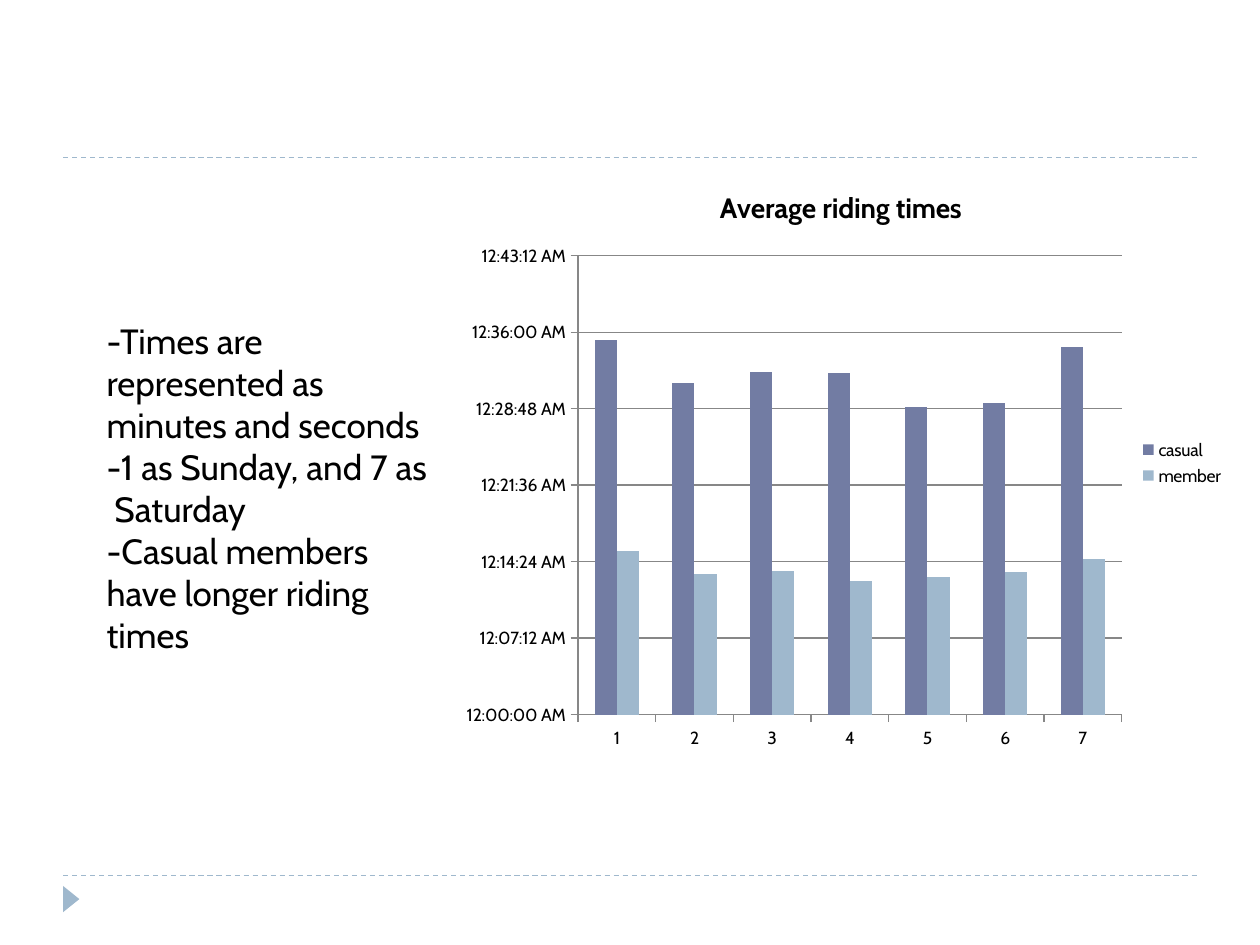
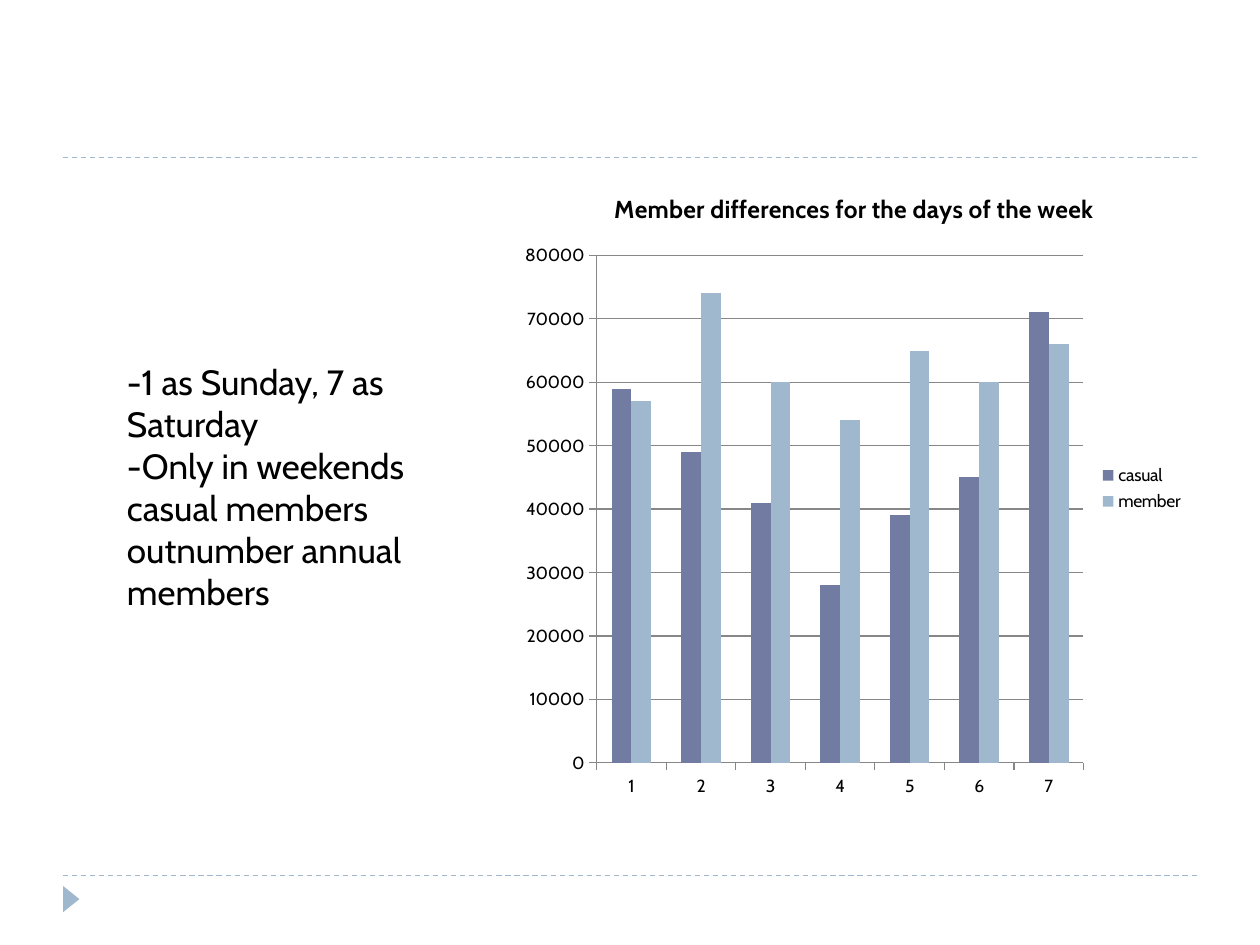
from lxml import etree
from pptx import Presentation
from pptx.chart.data import CategoryChartData
from pptx.dml.color import RGBColor
from pptx.enum.chart import XL_CHART_TYPE, XL_LEGEND_POSITION, XL_TICK_MARK
from pptx.enum.dml import MSO_LINE
from pptx.enum.shapes import MSO_CONNECTOR, MSO_SHAPE
from pptx.oxml.ns import qn
from pptx.util import Cm, Pt

COLUMNS = XL_CHART_TYPE.COLUMN_CLUSTERED
LEGEND_RIGHT = XL_LEGEND_POSITION.RIGHT
TICK_OUT = XL_TICK_MARK.OUTSIDE
DASH = MSO_LINE.DASH
STRAIGHT = MSO_CONNECTOR.STRAIGHT
TRIANGLE = MSO_SHAPE.ISOSCELES_TRIANGLE

FONT = "Cabin"
BLACK, WHITE, GREY = "000000", "FFFFFF", "878787"
INDIGO, SKY = "727CA3", "9FB8CD"
SERIES_COLORS = {"casual": INDIGO, "member": SKY}
DAYS = [str(day) for day in range(1, 8)]
SLIDE_W, SLIDE_H = 25.4, 19.05
MARGIN = 1.27
RULE_TOPS = (3.18, 17.65)


def rgb(value):
    return RGBColor.from_string(value)


def style_font(font, size=10, color=BLACK, bold=False):
    font.name = FONT
    font.size = Pt(size)
    font.bold = bold
    font.color.rgb = rgb(color)


def add_text(p, text, **fmt):
    r = p.add_run()
    r.text = text
    style_font(r.font, **fmt)


def add_frame(s):
    """Draw the background, dashed rules and corner marker of every slide."""
    s.background.fill.solid()
    s.background.fill.fore_color.rgb = rgb(WHITE)
    for top in RULE_TOPS:
        rule = s.shapes.add_connector(
            STRAIGHT, Cm(MARGIN), Cm(top), Cm(SLIDE_W - MARGIN), Cm(top))
        rule.line.color.rgb = rgb(SKY)
        rule.line.width = Pt(0.75)
        rule.line.dash_style = DASH
        etree.SubElement(rule._element.spPr, qn("a:effectLst"))
    marker = s.shapes.add_shape(TRIANGLE, Cm(1.17), Cm(17.96), Cm(0.53), Cm(0.33))
    marker.rotation = 90
    marker.shadow.inherit = False
    marker.fill.solid()
    marker.fill.fore_color.rgb = rgb(SKY)
    marker.line.fill.background()


def add_remarks(s, box, remarks):
    tf = s.shapes.add_textbox(*map(Cm, box)).text_frame
    tf.word_wrap = True
    for i, remark in enumerate(remarks):
        p = tf.add_paragraph() if i else tf.paragraphs[0]
        add_text(p, remark, size=20)


def style_axis(axis):
    axis.major_tick_mark = TICK_OUT
    axis.format.line.color.rgb = rgb(GREY)
    axis.format.line.width = Pt(0.75)
    style_font(axis.tick_labels.font)


def add_day_chart(s, box, title, title_size, values, top, step, number_format):
    data = CategoryChartData(number_format=number_format)
    data.categories = DAYS
    for name, vals in values.items():
        data.add_series(name, vals)
    chart = s.shapes.add_chart(COLUMNS, *map(Cm, box), data).chart
    style_font(chart.font)

    chart.has_title = True
    add_text(chart.chart_title.text_frame.paragraphs[0], title,
             size=title_size, bold=True)
    chart.chart_title.include_in_layout = False
    chart.has_legend = True
    chart.legend.position = LEGEND_RIGHT
    chart.legend.include_in_layout = False
    style_font(chart.legend.font)

    plot = chart.plots[0]
    plot.gap_width = 150
    plot.overlap = 0
    plot.vary_by_categories = False
    for series in plot.series:
        series.invert_if_negative = False
        series.format.fill.solid()
        series.format.fill.fore_color.rgb = rgb(SERIES_COLORS[series.name])

    style_axis(chart.category_axis)
    axis = chart.value_axis
    style_axis(axis)
    axis.minimum_scale, axis.maximum_scale, axis.major_unit = 0, top, step
    axis.has_major_gridlines = True
    axis.major_gridlines.format.line.color.rgb = rgb(GREY)
    axis.major_gridlines.format.line.width = Pt(0.75)
    axis.tick_labels.number_format = number_format
    axis.tick_labels.number_format_is_linked = False


def add_chart_slide(prs, remarks_box, remarks, chart_box, **chart):
    s = prs.slides.add_slide(prs.slide_layouts[6])
    add_frame(s)
    add_day_chart(s, chart_box, **chart)
    add_remarks(s, remarks_box, remarks)


def main():
    prs = Presentation()
    prs.slide_width, prs.slide_height = Cm(SLIDE_W), Cm(SLIDE_H)
    add_chart_slide(
        prs,
        remarks_box=(1.9, 6.32, 7.01, 7.01),
        remarks=["-Times are represented as minutes and seconds",
                 "-1 as Sunday, and 7 as  Saturday",
                 "-Casual members have longer riding times"],
        chart_box=(9.09, 3.33, 15.85, 11.99),
        title="Average riding times ", title_size=16,
        values={
            "casual": [0.0245, 0.0217, 0.0224, 0.0223, 0.0201, 0.0204, 0.024],
            "member": [0.0107, 0.0092, 0.0094, 0.0087, 0.009, 0.0093, 0.0102]},
        top=0.03, step=0.005, number_format=r"[$-F400]h:mm:ss\ AM/PM")
    add_chart_slide(
        prs,
        remarks_box=(2.31, 7.14, 7.39, 5.38),
        remarks=["-1 as Sunday, 7 as Saturday",
                 "-Only in weekends casual members outnumber annual members"],
        chart_box=(10.31, 3.38, 13.82, 12.93),
        title="Member differences for the days of the week", title_size=14,
        values={
            "casual": [59000, 49000, 41000, 28000, 39000, 45000, 71000],
            "member": [57000, 74000, 60000, 54000, 65000, 60000, 66000]},
        top=80000, step=10000, number_format="General")
    prs.save("out.pptx")


if __name__ == "__main__":
    main()
